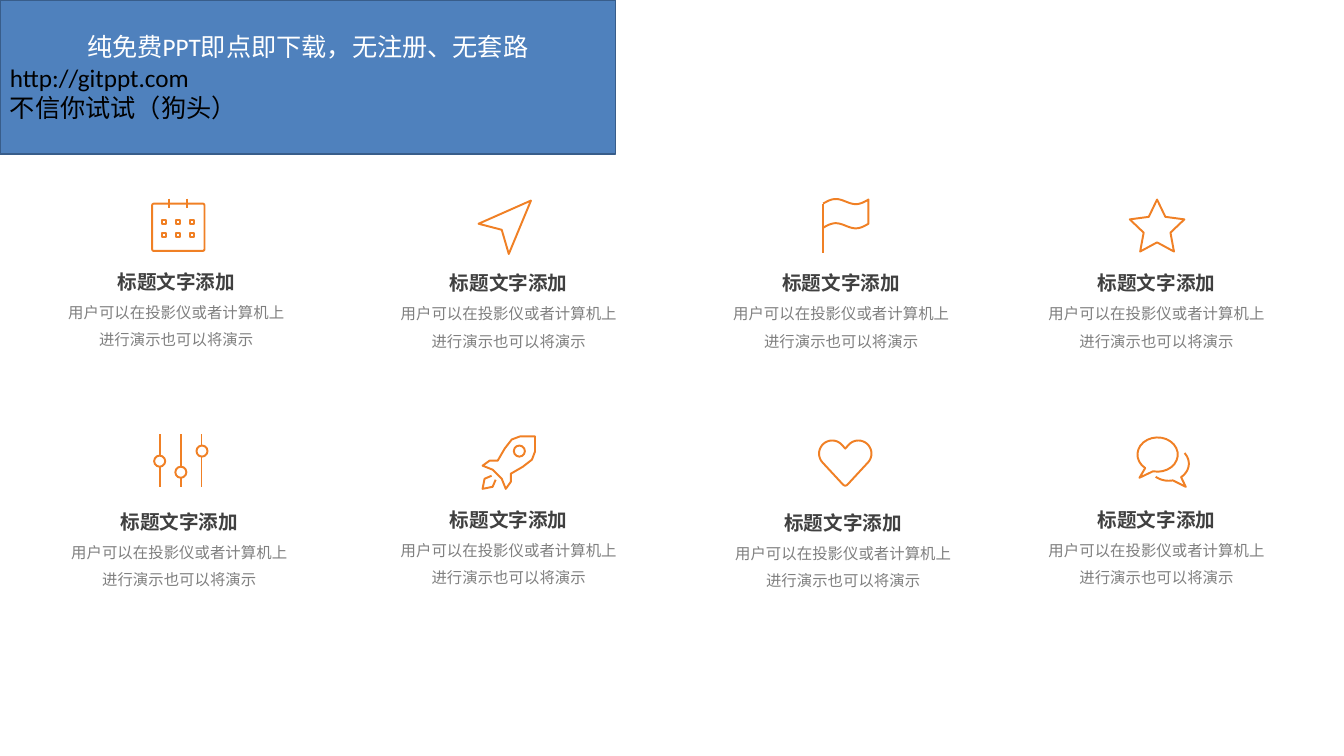
from math import cos, pi, radians, sin

from lxml import etree
from pptx import Presentation
from pptx.dml.color import RGBColor
from pptx.enum.shapes import MSO_CONNECTOR, MSO_SHAPE
from pptx.enum.text import MSO_ANCHOR, MSO_AUTO_SIZE, PP_ALIGN
from pptx.oxml.ns import qn
from pptx.util import Inches, Pt

CENTER, LEFT = PP_ALIGN.CENTER, PP_ALIGN.LEFT
MIDDLE = MSO_ANCHOR.MIDDLE
FIT_TEXT = MSO_AUTO_SIZE.SHAPE_TO_FIT_TEXT
RECT, OVAL, ROUNDED = MSO_SHAPE.RECTANGLE, MSO_SHAPE.OVAL, MSO_SHAPE.ROUNDED_RECTANGLE
STRAIGHT = MSO_CONNECTOR.STRAIGHT

COLORS = {"icon": "F08025", "title": "404040", "body": "7F7F7F",
          "banner": "4F81BD", "edge": "385D8A", "white": "FFFFFF", "black": "000000"}
CJK_FONT = "Noto Sans CJK SC"
TITLE = {"name": CJK_FONT, "size": Pt(14), "bold": True}
BODY = {"name": "Calibri", "size": Pt(11), "bold": False}
BANNER = {"name": "Calibri", "size": Pt(18)}
ICON_WIDTH = Pt(1.39)
STEPS = 24


def add_text(p, text, style, color, align):
    p.alignment = align
    r = p.add_run()
    r.text = text
    for key, value in style.items():
        setattr(r.font, key, value)
    r.font.color.rgb = RGBColor.from_string(COLORS[color])
    ea = etree.SubElement(r.font._element, qn("a:ea"))
    ea.set("typeface", CJK_FONT)


def arc(cx, cy, rx, ry, start, end):
    angles = [radians(start + (end - start) * i / STEPS) for i in range(STEPS + 1)]
    return [(cx + rx * cos(a), cy + ry * sin(a)) for a in angles]


prs = Presentation()
prs.slide_width, prs.slide_height = Inches(13.34), Inches(7.5)
s = prs.slides.add_slide(prs.slide_layouts[6])

# Captions under the eight icons
for x, y in [(0.54, 2.63), (3.84, 2.64), (7.14, 2.64), (10.27, 2.64),
             (0.57, 5.01), (3.84, 4.99), (7.16, 5.02), (10.27, 4.99)]:
    tf = s.shapes.add_textbox(Inches(x), Inches(y), Inches(2.42), Inches(0.89)).text_frame
    tf.word_wrap = True
    tf.auto_size = FIT_TEXT
    add_text(tf.paragraphs[0], "标题文字添加", TITLE, "title", CENTER)
    p = tf.add_paragraph()
    p.line_spacing = 1.5
    add_text(p, "用户可以在投影仪或者计算机上进行演示也可以将演示", BODY, "body", CENTER)

# Flag: one wave, used for the top edge and again for the bottom edge
wave = [(8.17 + 0.45 * i / STEPS,
         2.02 - 0.04 * i / STEPS - 0.035 * sin(2 * pi * i / STEPS)) for i in range(STEPS + 1)]
flag = wave + [(x, y + 0.24) for x, y in reversed(wave)]

# Star: outer and inner corners alternate
star = []
for i in range(10):
    radius = 0.14 if i % 2 else 0.285
    angle = radians(36 * i - 90)
    star.append((11.485 + radius * cos(angle), 2.265 + radius * sin(angle)))

# Rocket and flame: one half each, mirrored across the diagonal x + y = 9.64
hull = [(4.89, 4.66), (4.79, 4.62), (4.86, 4.57), (4.94, 4.57), (5.01, 4.45),
        (5.08, 4.36), (5.16, 4.33), (5.31, 4.33)]
flame = [(4.88, 4.72), (4.81, 4.75), (4.79, 4.85)]
hull, flame = [half + [(9.64 - y, 9.64 - x) for x, y in reversed(half)]
               for half in (hull, flame)]

# Heart and speech bubbles: arcs joined at a tip
heart = (arc(8.26, 4.5, 0.13, 0.13, 135, 315) + [(8.39, 4.45)]
         + arc(8.52, 4.5, 0.13, 0.13, 225, 405) + [(8.41, 4.81), (8.39, 4.82), (8.37, 4.81)])
front_bubble = arc(11.49, 4.51, 0.2, 0.17, 128, 463) + [(11.31, 4.74)]
back_bubble = (arc(11.6, 4.6, 0.2, 0.17, -38, 52) + [(11.77, 4.83)]
               + arc(11.6, 4.6, 0.2, 0.17, 78, 130))
plane = [(4.75, 2.22), (5.27, 1.99), (5.05, 2.52), (4.98, 2.28)]

icons = []
for points, closed in [(plane, True), (flag, False), (star, True), (hull, True),
                       (flame, False), (heart, True), (front_bubble, True),
                       (back_bubble, False)]:
    points = [(Inches(x), Inches(y)) for x, y in points]
    builder = s.shapes.build_freeform(*points[0])
    builder.add_line_segments(points[1:], close=closed)
    icons.append(builder.convert_to_shape())

# Calendar page and day squares, slider knobs, rocket window
presets = [(ROUNDED, 1.51, 2.02, 0.52, 0.47)]
presets += [(RECT, x, y, 0.04, 0.04) for y in (2.18, 2.31) for x in (1.61, 1.75, 1.89)]
presets += [(OVAL, x, y, 0.11, 0.11)
            for x, y in [(1.53, 4.52), (1.74, 4.63), (1.95, 4.42), (5.1, 4.42)]]
for kind, x, y, w, h in presets:
    sp = s.shapes.add_shape(kind, Inches(x), Inches(y), Inches(w), Inches(h))
    if kind == ROUNDED:
        sp.adjustments[0] = 0.04
    icons.append(sp)

for sp in icons:
    sp.shadow.inherit = False
    sp.fill.background()
    sp.line.color.rgb = RGBColor.from_string(COLORS["icon"])
    sp.line.width = ICON_WIDTH

# Flag pole, calendar rings, slider rails above and below each knob
rails = [(8.17, 2.02, 2.51), (1.68, 1.97, 2.06), (1.86, 1.97, 2.06)]
for x, knob_top in [(1.59, 4.52), (1.8, 4.63), (2, 4.42)]:
    rails += [(x, 4.31, knob_top), (x, knob_top + 0.11, 4.83)]
for x, top, bottom in rails:
    line = s.shapes.add_connector(STRAIGHT, Inches(x), Inches(top), Inches(x), Inches(bottom))
    line.line.color.rgb = RGBColor.from_string(COLORS["icon"])
    line.line.width = ICON_WIDTH
    etree.SubElement(line._element.spPr, qn("a:effectLst"))

# Banner
sp = s.shapes.add_shape(RECT, 0, 0, Inches(6.11), Inches(1.53))
sp.shadow.inherit = False
sp.fill.solid()
sp.fill.fore_color.rgb = RGBColor.from_string(COLORS["banner"])
sp.line.color.rgb = RGBColor.from_string(COLORS["edge"])
sp.line.width = Pt(1)
tf = sp.text_frame
tf.word_wrap = True
tf.vertical_anchor = MIDDLE
add_text(tf.paragraphs[0], "纯免费PPT即点即下载，无注册、无套路", BANNER, "white", CENTER)
for text in ("http://gitppt.com", "不信你试试（狗头）"):
    add_text(tf.add_paragraph(), text, BANNER, "black", LEFT)

prs.save("out.pptx")
